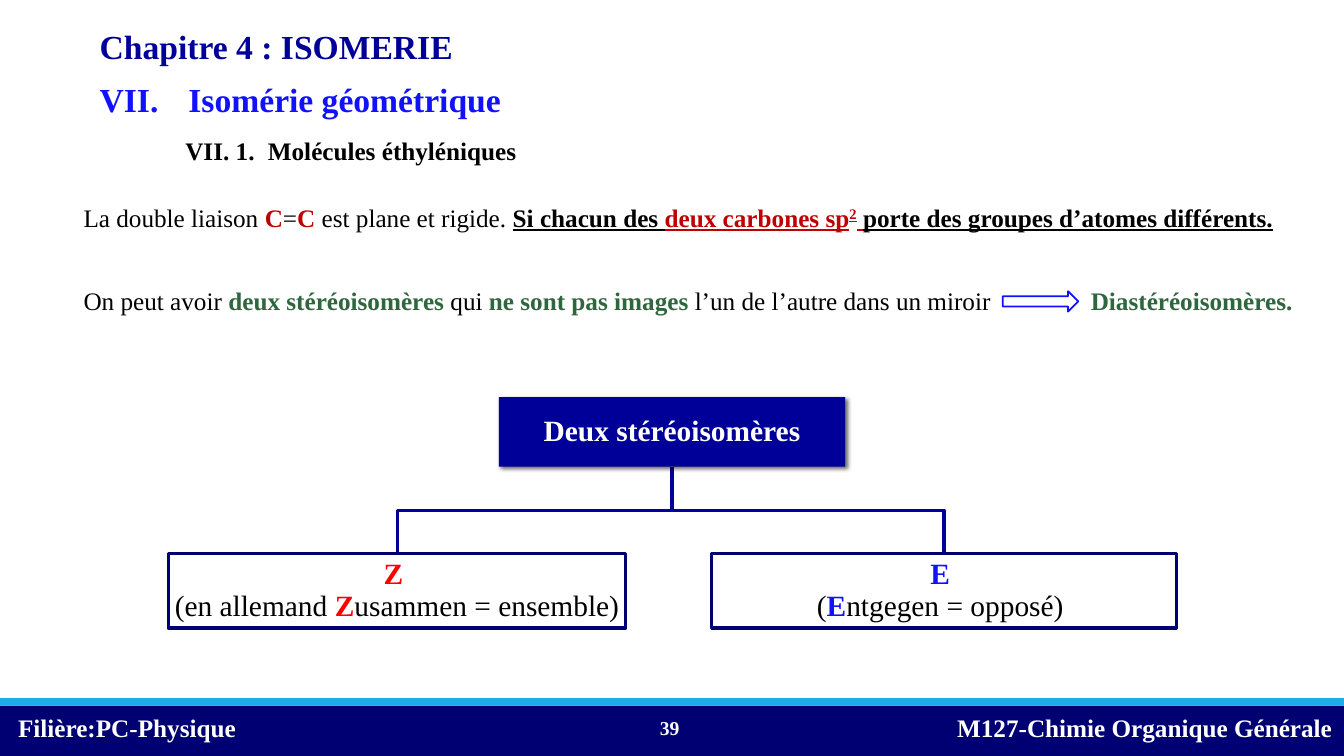
import pptx
import pptx.util
import pptx.dml.color
import pptx.enum.shapes
import pptx.enum.text
import pptx.oxml

Pt = pptx.util.Pt
RGB = pptx.dml.color.RGBColor
SHAPE = pptx.enum.shapes.MSO_SHAPE
ALIGN = pptx.enum.text.PP_ALIGN
ANCHOR = pptx.enum.text.MSO_ANCHOR

WHITE = RGB(0xFF, 0xFF, 0xFF)
BLACK = RGB(0, 0, 0)
NAVY = RGB(0, 0, 0x72)
BLUE = RGB(0, 0, 0x99)
BRIGHT_BLUE = RGB(0x11, 0x11, 0xFF)
CYAN = RGB(0x1C, 0xAD, 0xE4)
RED = RGB(0xFF, 0, 0)
DARK_RED = RGB(0xC0, 0, 0)
GREEN = RGB(0x2F, 0x66, 0x3E)

FONT = "Times New Roman"
WIDTH, HEIGHT = 960, 540
NS = 'xmlns:a="http://schemas.openxmlformats.org/drawingml/2006/main"'


def write(shape, runs, size=18, color=BLACK, bold=False, align=ALIGN.LEFT,
          anchor=ANCHOR.TOP, inset=None, spacing=None, indent=0, tab=None):
    """Fill a shape with one paragraph; runs is a string or (text, format) pairs.

    A run format may hold color, bold, underline and baseline (in percent);
    a newline in a run is a line break.
    """
    frame = shape.text_frame
    frame.word_wrap = True
    frame.vertical_anchor = anchor
    if inset is not None:
        frame.margin_left = frame.margin_right = Pt(inset)
        frame.margin_top = frame.margin_bottom = Pt(inset)
    paragraph = frame.paragraphs[0]
    properties = paragraph._p.get_or_add_pPr()
    if indent:
        properties.set("marL", "0")
        properties.set("indent", str(Pt(indent)))
    if tab:
        properties.append(pptx.oxml.parse_xml(
            f'<a:tabLst {NS}><a:tab pos="{Pt(tab)}" algn="l"/></a:tabLst>'))
    paragraph.alignment = align
    if spacing:
        paragraph.line_spacing = spacing
    for text, style in [(runs, {})] if isinstance(runs, str) else runs:
        for number, line in enumerate(text.split("\n")):
            if number:
                paragraph.add_line_break()
            if not line:
                continue
            run = paragraph.add_run()
            run.text = line
            run.font.name = FONT
            run.font.size = Pt(size)
            run.font.bold = style.get("bold", bold)
            run.font.underline = style.get("underline")
            run.font.color.rgb = style.get("color", color)
            if "baseline" in style:
                run._r.get_or_add_rPr().set("baseline", str(style["baseline"] * 1000))


def add_text(slide, left, top, width, height, runs, **style):
    box = slide.shapes.add_textbox(Pt(left), Pt(top), Pt(width), Pt(height))
    write(box, runs, **style)


def add_block(slide, left, top, width, height, fill, line=None, line_width=2.25,
              kind=SHAPE.RECTANGLE):
    block = slide.shapes.add_shape(kind, Pt(left), Pt(top), Pt(width), Pt(height))
    block.shadow.inherit = False
    block.fill.solid()
    block.fill.fore_color.rgb = fill
    if line is None:
        block.line.fill.background()
    else:
        block.line.color.rgb = line
        block.line.width = Pt(line_width)
    return block


def cast_shadow(block):
    effects = block._element.spPr.find(
        "{http://schemas.openxmlformats.org/drawingml/2006/main}effectLst")
    effects.append(pptx.oxml.parse_xml(
        f'<a:outerShdw {NS} blurRad="{Pt(3)}" dist="{Pt(2)}" dir="2700000" rotWithShape="0">'
        '<a:srgbClr val="000000"><a:alpha val="60000"/></a:srgbClr></a:outerShdw>'))


def add_branch(slide, root_x, root_y, leaf_x, leaf_y):
    """Draw a stepped line from the root box down to a leaf box."""
    middle = (root_y + leaf_y) / 2
    builder = slide.shapes.build_freeform(Pt(root_x), Pt(root_y))
    builder.add_line_segments(
        [(Pt(root_x), Pt(middle)), (Pt(leaf_x), Pt(middle)), (Pt(leaf_x), Pt(leaf_y))],
        close=False)
    branch = builder.convert_to_shape()
    branch.shadow.inherit = False
    branch.fill.background()
    branch.line.color.rgb = BLUE
    branch.line.width = Pt(2.25)


def add_footer(slide):
    add_block(slide, 0, 504, WIDTH, 36, NAVY)
    add_block(slide, 0, 498.7, WIDTH, 5.3, CYAN)
    footer = dict(color=WHITE, bold=True)
    add_text(slide, 5.8, 505.4, 320, 29, "Filière:PC-Physique", **footer)
    add_text(slide, 638.7, 505.4, 320, 29, "M127-Chimie Organique Générale",
             align=ALIGN.RIGHT, **footer)
    add_text(slide, 451.4, 505.4, 41, 29, "39", size=14, align=ALIGN.RIGHT,
             anchor=ANCHOR.MIDDLE, **footer)


def add_headings(slide):
    add_text(slide, 64.1, 15.1, 775, 36, "Chapitre 4 : ISOMERIE",
             size=24, color=BLUE, bold=True)
    add_text(slide, 64.1, 52.6, 495, 36, "VII.\tIsomérie géométrique",
             size=24, color=BRIGHT_BLUE, bold=True, tab=63.4)
    add_text(slide, 76.3, 92.9, 687, 29, "VII. 1.\tMolécules éthyléniques",
             bold=True, indent=49, tab=108)


def add_explanation(slide):
    carbon = dict(color=DARK_RED, bold=True)
    key = dict(bold=True, underline=True)
    red_key = dict(key, color=DARK_RED)
    green = dict(color=GREEN, bold=True)
    add_text(slide, 52.6, 137.5, 880.6, 30, [
        ("La double liaison ", {}), ("C", carbon), ("=", {}), ("C", carbon),
        (" est plane et rigide. ", {}), ("Si chacun des ", key),
        ("deux carbones sp", red_key), ("2", dict(red_key, baseline=30)),
        (" ", red_key), ("porte des groupes d’atomes différents.", key),
    ], spacing=1.15)
    add_text(slide, 52.6, 197.3, 892.8, 31, [
        ("On peut avoir ", {}), ("deux stéréoisomères ", green), ("qui ", {}),
        ("ne sont pas images ", green), ("l’un de l’autre dans un miroir\t", {}),
        ("Diastéréoisomères.", green),
    ], spacing=1.15, tab=719.5)
    add_block(slide, 716.2, 208, 54, 14.6, WHITE, BRIGHT_BLUE, 1.25,
              kind=SHAPE.RIGHT_ARROW)


def add_tree(slide):
    root_left, root_top, root_width, root_height = 356.4, 283.7, 247.2, 49.7
    leaf_top, leaf_height = 395.3, 53.3
    z, e = dict(color=RED, bold=True), dict(color=BRIGHT_BLUE, bold=True)
    leaves = [
        (120.2, 326.9, [("Z \n", z), ("(en allemand ", {}), ("Z", z),
                        ("usammen = ensemble)", {})]),
        (508.3, 331.9, [("E \n", e), ("(", {}), ("E", e),
                        ("ntgegen = opposé) ", {})]),
    ]
    label = dict(size=21, align=ALIGN.CENTER, anchor=ANCHOR.MIDDLE, inset=0.7, spacing=0.9)
    for left, width, runs in leaves:
        add_branch(slide, root_left + root_width / 2, root_top + root_height,
                   left + width / 2, leaf_top)
        leaf = add_block(slide, left, leaf_top, width, leaf_height, WHITE, NAVY)
        write(leaf, runs, **label)
    root = add_block(slide, root_left, root_top, root_width, root_height, BLUE)
    cast_shadow(root)
    write(root, "Deux stéréoisomères", color=WHITE, bold=True, **label)


def main():
    deck = pptx.Presentation()
    deck.slide_width, deck.slide_height = Pt(WIDTH), Pt(HEIGHT)
    slide = deck.slides.add_slide(deck.slide_layouts[6])
    add_footer(slide)
    add_headings(slide)
    add_explanation(slide)
    add_tree(slide)
    deck.save("out.pptx")


if __name__ == "__main__":
    main()
